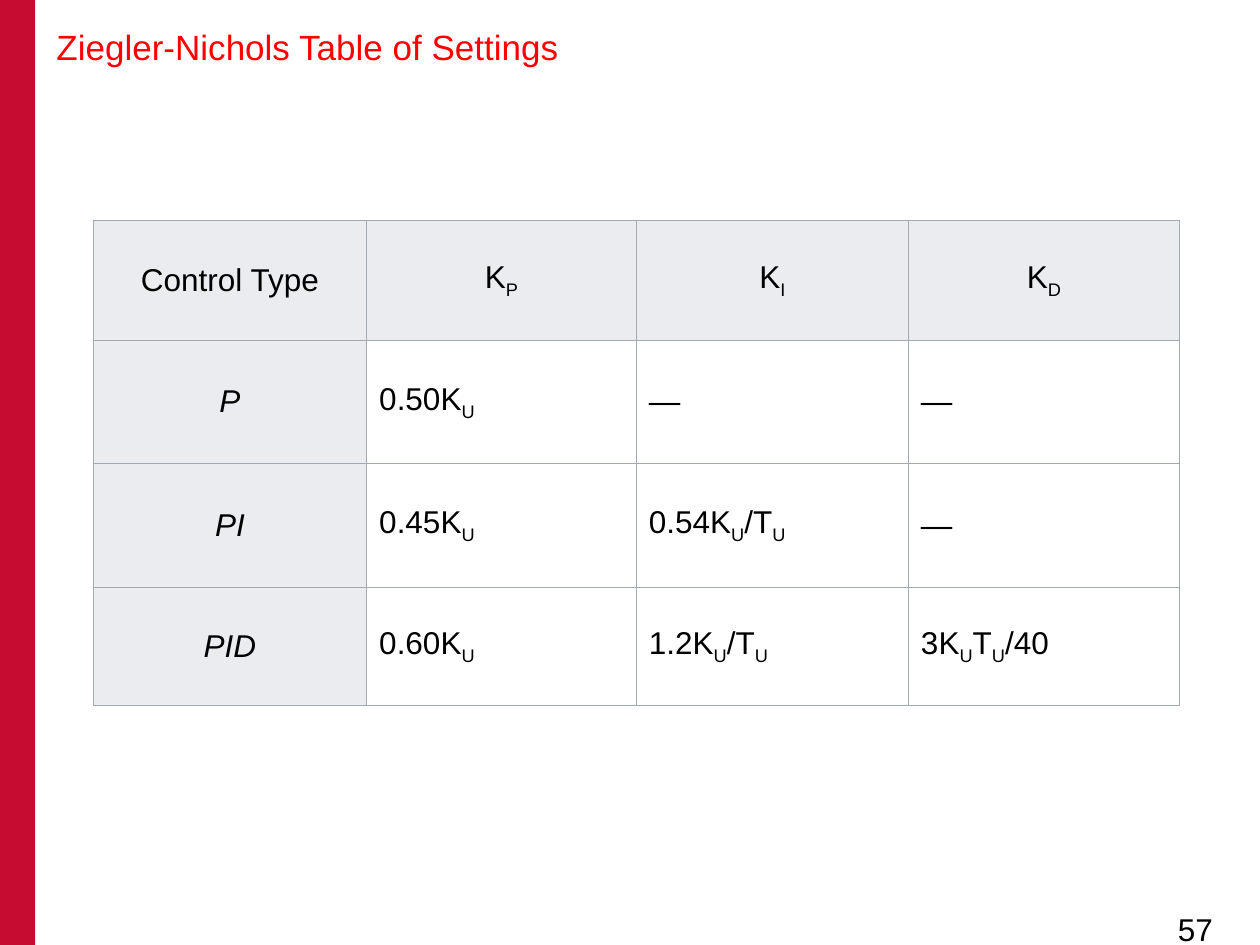
from lxml.etree import SubElement
from pptx import Presentation
from pptx.dml.color import RGBColor
from pptx.enum.shapes import MSO_SHAPE as Shape
from pptx.enum.text import MSO_ANCHOR as Anchor, PP_ALIGN as Align
from pptx.oxml.ns import qn
from pptx.util import Inches, Pt

CRIMSON = RGBColor(0xC6, 0x0C, 0x30)
RED = RGBColor(0xFF, 0x00, 0x00)
BLACK = RGBColor(0x00, 0x00, 0x00)
HEADING_GREY = RGBColor(0xEA, 0xEC, 0xF0)
BORDER_GREY = RGBColor(0xA2, 0xA9, 0xB1)

# An underscore makes the next letter a subscript.
SETTINGS = [
    ["Control Type", "K_P", "K_I", "K_D"],
    ["P", "0.50K_U", "—", "—"],
    ["PI", "0.45K_U", "0.54K_U/T_U", "—"],
    ["PID", "0.60K_U", "1.2K_U/T_U", "3K_UT_U/40"],
]
COLUMN_WIDTHS = [2.17, 2.14, 2.16, 2.15]
ROW_HEIGHTS = [0.95, 0.98, 0.98, 0.94]


def style(run, size, color):
    run.font.name = "Arial"
    run.font.size = Pt(size)
    run.font.color.rgb = color


def add_borders(cell):
    properties = cell._tc.get_or_add_tcPr()
    for position, side in enumerate(("lnL", "lnR", "lnT", "lnB")):
        line = SubElement(properties, qn(f"a:{side}"), w=str(Pt(0.6)))
        solid = SubElement(line, qn("a:solidFill"))
        SubElement(solid, qn("a:srgbClr"), val=str(BORDER_GREY))
        properties.insert(position, line)  # borders come before the fill


prs = Presentation()
prs.slide_width, prs.slide_height = Inches(10), Inches(7.5)
slide = prs.slides.add_slide(prs.slide_layouts[6])

side_bar = slide.shapes.add_shape(
    Shape.RECTANGLE, 0, 0, Inches(0.28), prs.slide_height)
side_bar.shadow.inherit = False
side_bar.fill.solid()
side_bar.fill.fore_color.rgb = CRIMSON
side_bar.line.fill.background()

for words, box, size, color, top_margin in [
    ("57", (9.25, 7.17, 0.67, 0.25), 18, BLACK, 0.05),
    ("Ziegler-Nichols Table of Settings", (0.35, 0.12, 8.94, 0.59), 20, RED, 0.08),
]:
    frame = slide.shapes.add_textbox(*map(Inches, box)).text_frame
    frame.word_wrap = True
    frame.margin_top = Inches(top_margin)
    frame.text = words
    style(frame.paragraphs[0].runs[0], size, color)

table = slide.shapes.add_table(
    len(ROW_HEIGHTS), len(COLUMN_WIDTHS), Inches(0.74), Inches(1.75),
    Inches(sum(COLUMN_WIDTHS)), Inches(sum(ROW_HEIGHTS))).table
for column, width in zip(table.columns, COLUMN_WIDTHS):
    column.width = Inches(width)
for row, height in zip(table.rows, ROW_HEIGHTS):
    row.height = Inches(height)

for r, settings in enumerate(SETTINGS):
    for c, formula in enumerate(settings):
        cell = table.cell(r, c)
        cell.vertical_anchor = Anchor.MIDDLE
        is_heading = r == 0 or c == 0
        if is_heading:
            cell.fill.solid()
            cell.fill.fore_color.rgb = HEADING_GREY
        else:
            cell.fill.background()
        add_borders(cell)

        paragraph = cell.text_frame.paragraphs[0]
        paragraph.alignment = Align.CENTER if is_heading else Align.LEFT
        first, *rest = formula.split("_")
        pieces = [(first, False)]
        for part in rest:
            pieces += [(part[0], True), (part[1:], False)]
        for piece, is_subscript in pieces:
            if not piece:
                continue
            run = paragraph.add_run()
            run.text = piece
            style(run, 18, BLACK)
            run.font.bold = False
            run.font.italic = c == 0 and r > 0
            if is_subscript:
                run._r.get_or_add_rPr().set("baseline", "-25000")

prs.save("out.pptx")
